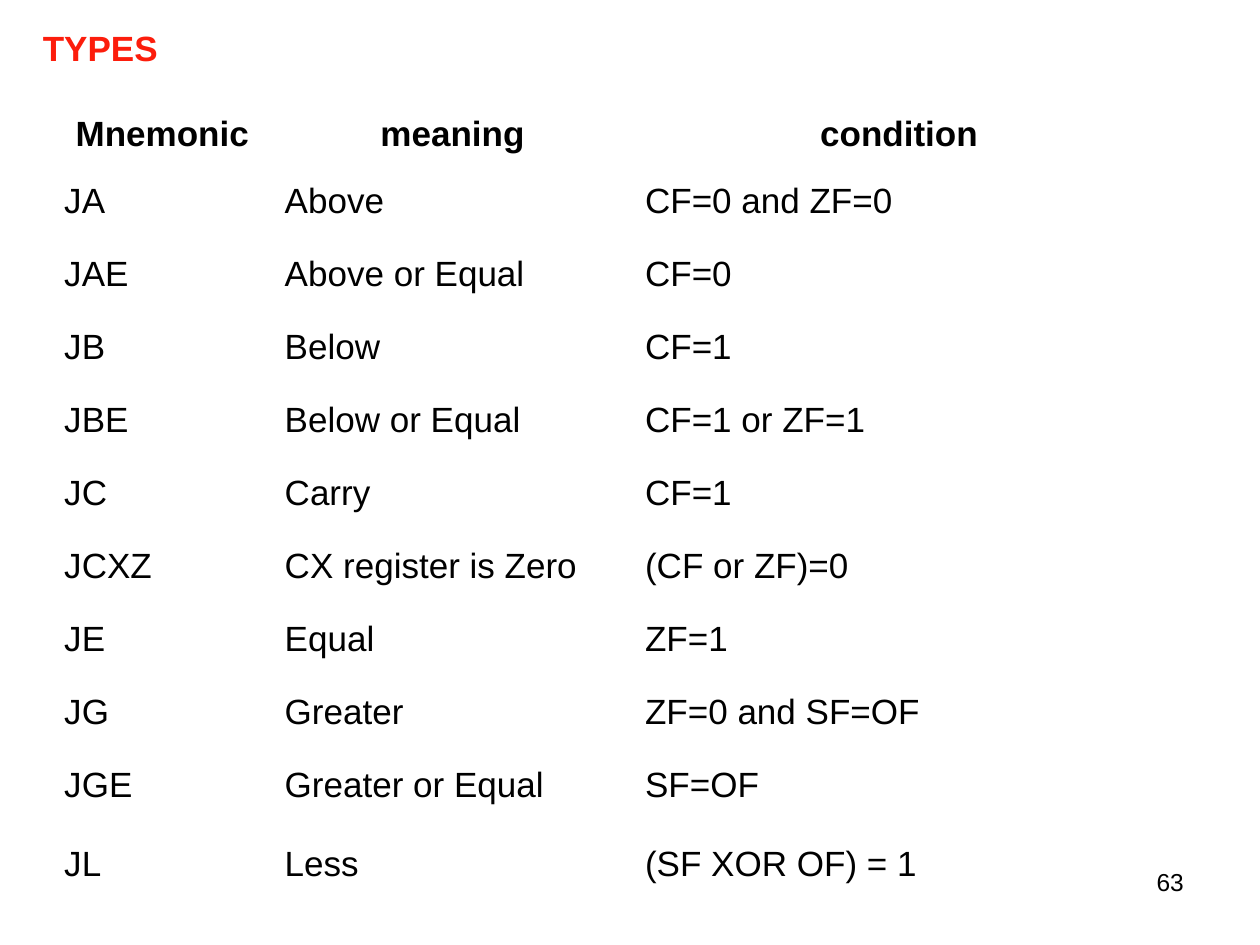
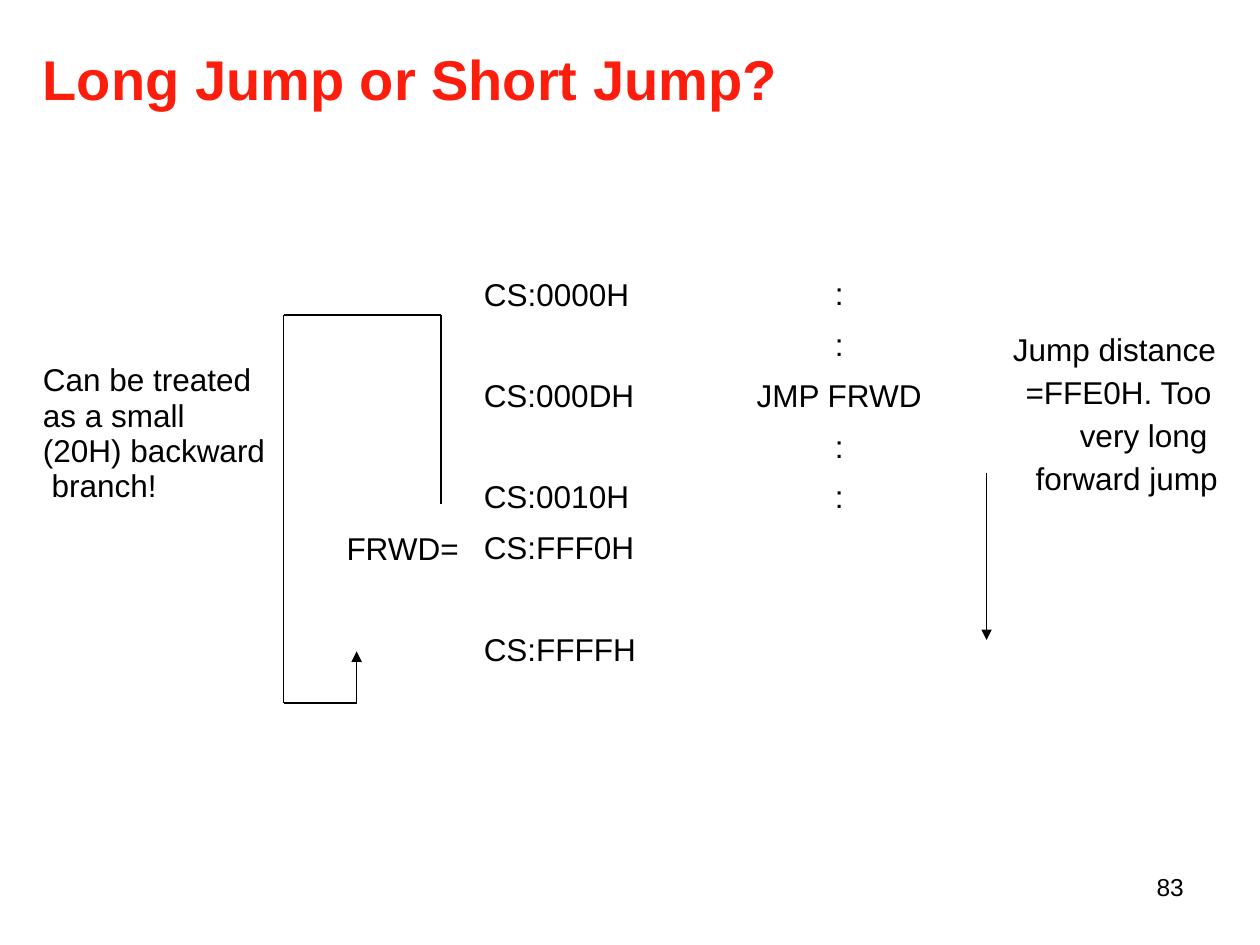
from itertools import pairwise

from lxml import etree
from pptx import Presentation
from pptx.dml.color import RGBColor
from pptx.enum.shapes import MSO_CONNECTOR
from pptx.enum.text import MSO_ANCHOR, PP_ALIGN
from pptx.oxml.ns import qn
from pptx.util import Inches, Pt

# Shared look
FONT = "Arial"
BLACK = "000000"
RED = "FC1D0C"
LEFT = PP_ALIGN.LEFT
CENTER = PP_ALIGN.CENTER
TOP = MSO_ANCHOR.TOP
STRAIGHT = MSO_CONNECTOR.STRAIGHT
TITLE_ONLY = 5
EDGE = 0.33


def write(frame, lines, size, color=BLACK, bold=False, inset=0.01,
          align=LEFT, spacing=None, before=0):
    """Fill a text frame with (indent, text) lines, one paragraph each."""
    frame.word_wrap = True
    frame.vertical_anchor = TOP
    frame.margin_left = frame.margin_right = frame.margin_bottom = 0
    frame.margin_top = Inches(inset)
    for index, (indent, text) in enumerate(lines):
        para = frame.paragraphs[0] if index == 0 else frame.add_paragraph()
        properties = para._p.get_or_add_pPr()
        properties.set("marL", str(Inches(indent)))
        properties.set("indent", "0")
        para.alignment = align
        para.space_before = Pt(before if index else 0)
        if spacing:
            para.line_spacing = spacing
        span = para.add_run()
        span.text = text
        span.font.name = FONT
        span.font.size = Pt(size)
        span.font.bold = bold
        span.font.color.rgb = RGBColor.from_string(color)


def add_text(page, place, lines, size=18, **style):
    box = page.shapes.add_textbox(*map(Inches, place))
    write(box.text_frame, lines, size, **style)


deck = Presentation()
deck.slide_width = Inches(10)
deck.slide_height = Inches(7.5)

# Titles and page numbers
pages = []
for title, place, size, number, number_top in [
    ("TYPES", (EDGE, 0.2, 0.94, 0.36), 20, "63", 6.87),
    ("Long Jump or Short Jump?", (EDGE, 0.34, 5.85, 0.56), 32, "83", 6.91),
]:
    page = deck.slides.add_slide(deck.slide_layouts[TITLE_ONLY])
    heading = page.shapes.title
    heading.left, heading.top, heading.width, heading.height = map(Inches, place)
    write(heading.text_frame, [(0.01, title)], size, color=RED, bold=True)
    add_text(page, (9.17, number_top, 0.26, 0.26), [(0.01, number)], size=14)
    pages.append(page)
types_page, jump_page = pages

# Table of conditional jumps
JUMPS = [
    ("Mnemonic", "meaning", "condition"),
    ("JA", "Above", "CF=0 and ZF=0"),
    ("JAE", "Above or Equal", "CF=0"),
    ("JB", "Below", "CF=1"),
    ("JBE", "Below or Equal", "CF=1 or ZF=1"),
    ("JC", "Carry", "CF=1"),
    ("JCXZ", "CX register is Zero", "(CF or ZF)=0"),
    ("JE", "Equal", "ZF=1"),
    ("JG", "Greater", "ZF=0 and SF=OF"),
    ("JGE", "Greater or Equal", "SF=OF"),
    ("JL", "Less", "(SF XOR OF) = 1"),
]
COLUMN_WIDTHS = (1.64, 2.73, 2.94)
HEADER_INDENTS = (0.12, 0.9, 1.66)
BODY_INDENTS = (0.03, 0.14, 0.27)
last = len(JUMPS) - 1

table = types_page.shapes.add_table(
    len(JUMPS), len(COLUMN_WIDTHS),
    Inches(0.48), Inches(0.88), Inches(7.32), Inches(6.15)).table
table.first_row = False
table.horz_banding = False
for column, width in zip(table.columns, COLUMN_WIDTHS):
    column.width = Inches(width)
for row_index, jump in enumerate(JUMPS):
    header = row_index == 0
    table.rows[row_index].height = Inches(0.45 if row_index in (0, last) else 0.58)
    indents = HEADER_INDENTS if header else BODY_INDENTS
    spacing = {0: 1.1, last: 1.16}.get(row_index)
    for column_index, (indent, text) in enumerate(zip(indents, jump)):
        cell = table.cell(row_index, column_index)
        cell.fill.background()
        write(cell.text_frame, [(indent, text)], 20, bold=header, spacing=spacing)
        cell.margin_left = cell.margin_right = cell.margin_bottom = 0
        cell.margin_top = Inches(0 if header else 0.11)

# Notes on either side of the listing
add_text(jump_page, (EDGE, 2.85, 1.78, 1.17),
         [(0.01, "Can be treated"), (0.01, "as a small"),
          (0.01, "(20H) backward"), (0.08, "branch!")],
         inset=0.03, spacing=Pt(20.2))
add_text(jump_page, (8.03, 2.57, 1.64, 1.23),
         [(0.01, "Jump distance"), (0.11, "=FFE0H. Too"),
          (0.54, "very long"), (0.19, "forward jump")],
         spacing=Pt(24.6))

# Addresses, label and instructions
add_text(jump_page, (3.83, 2.17, 1.18, 0.33), [(0.01, "CS:0000H")])
for top, addresses in [(2.87, ("CS:000DH", "CS:0010H")),
                       (4.08, ("CS:FFF0H", "CS:FFFFH"))]:
    add_text(jump_page, (3.83, top, 1.24, 0.84),
             [(0.01, address) for address in addresses],
             spacing=Pt(29), before=29)
add_text(jump_page, (2.74, 4.19, 0.92, 0.33), [(0.01, "FRWD=")])
add_text(jump_page, (5.99, 2.06, 1.34, 2.05),
         [(0, text) for text in (":", ":", "JMP FRWD", ":", ":")],
         inset=0.12, align=CENTER, spacing=Pt(21.5), before=7.5)

# Backward route and forward arrow, each ending in an arrowhead
BACKWARD = [(3.5, 4), (3.5, 2.5), (2.25, 2.5), (2.25, 5.58), (2.83, 5.58), (2.83, 5.17)]
FORWARD = [(7.83, 3.75), (7.83, 5.08)]
for route in (BACKWARD, FORWARD):
    for start, end in pairwise(route):
        line = jump_page.shapes.add_connector(STRAIGHT, *map(Inches, start + end))
        line.line.color.rgb = RGBColor.from_string(BLACK)
        line.line.width = Pt(0.75)
        etree.SubElement(line._element.spPr, qn("a:effectLst"))
    etree.SubElement(line.line._get_or_add_ln(), qn("a:tailEnd"), type="triangle")

deck.save("out.pptx")
